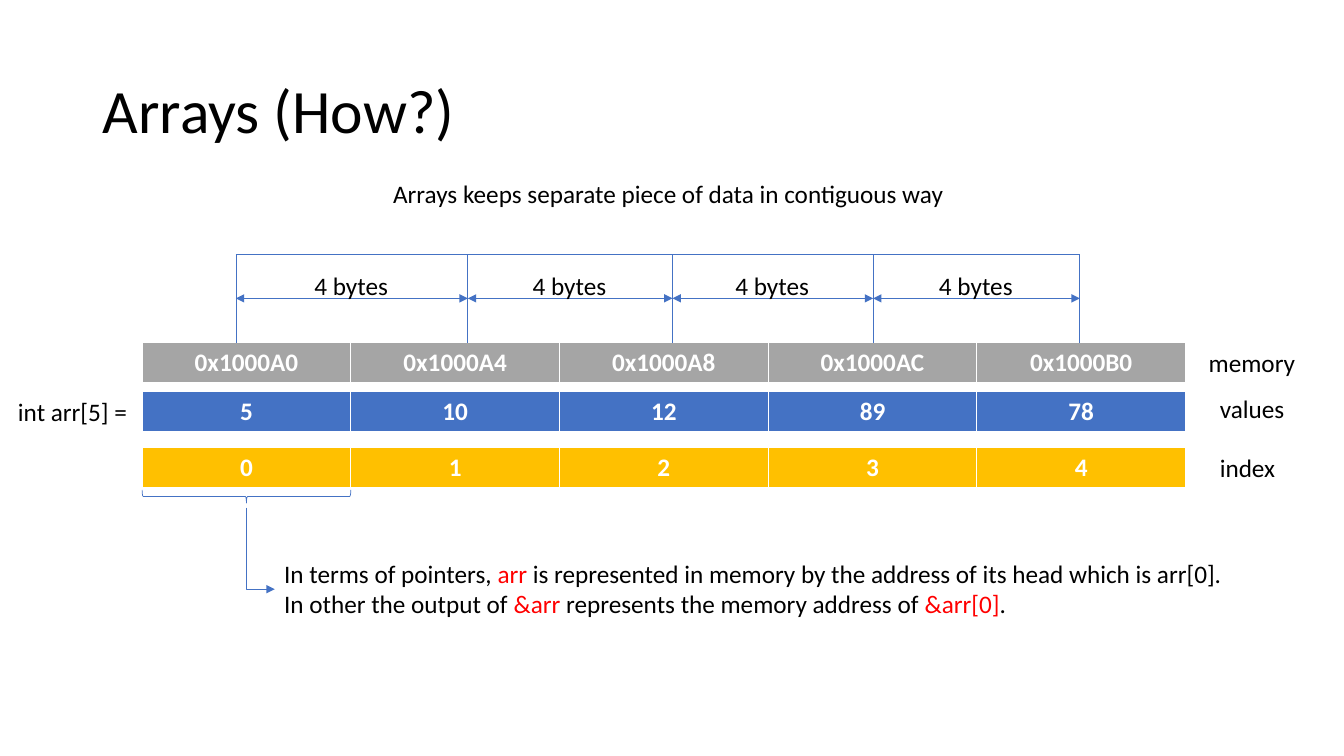
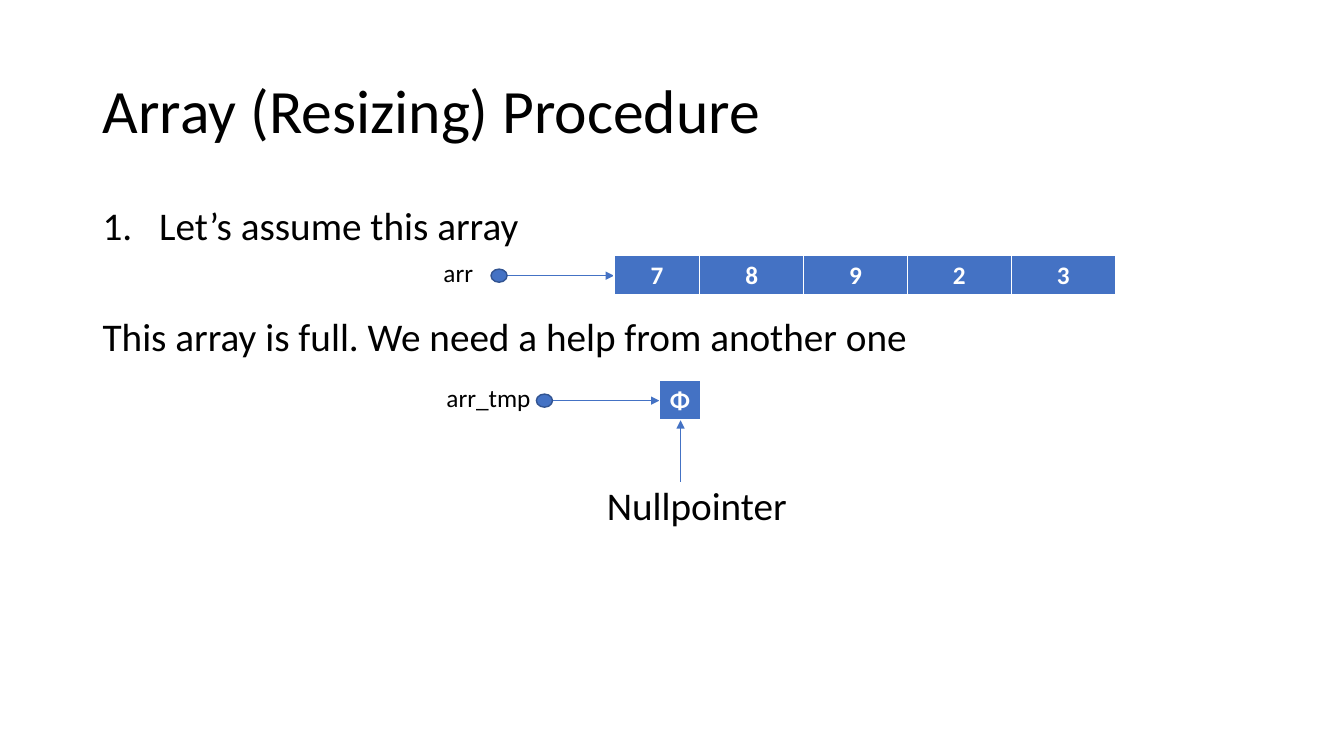
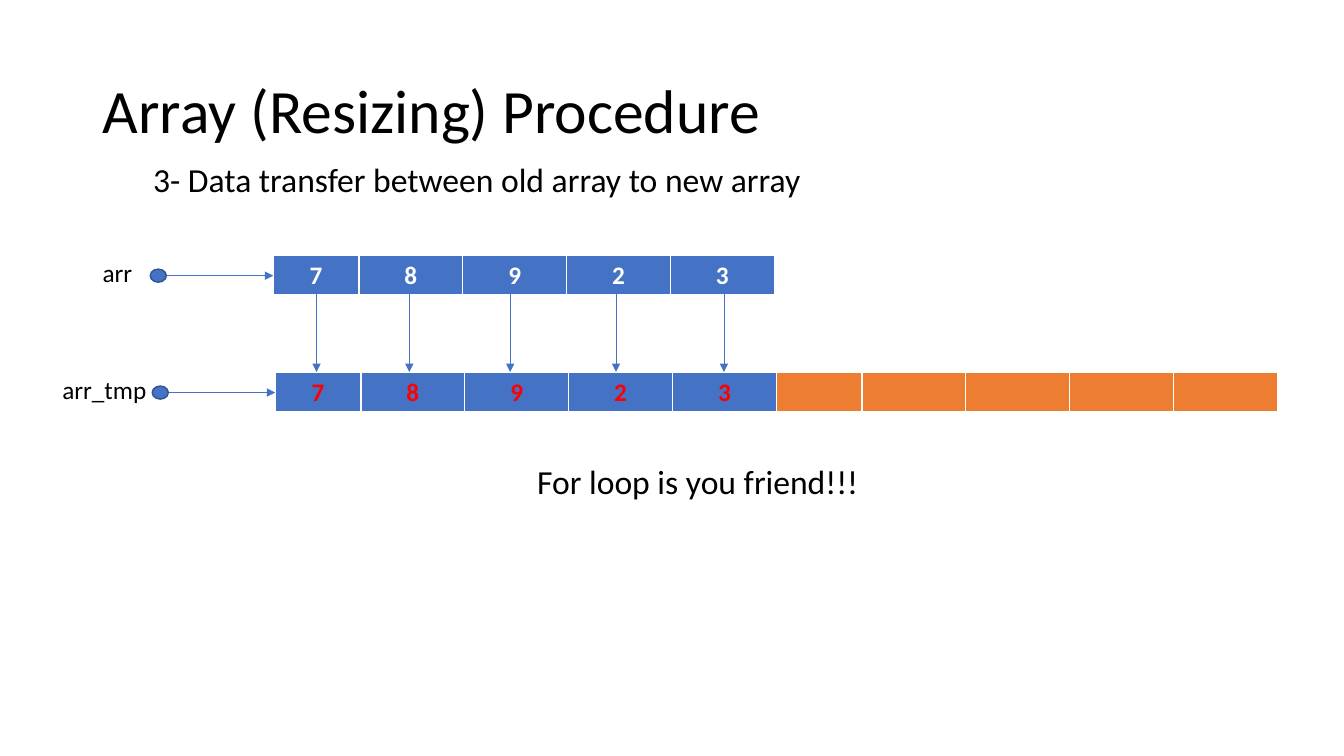
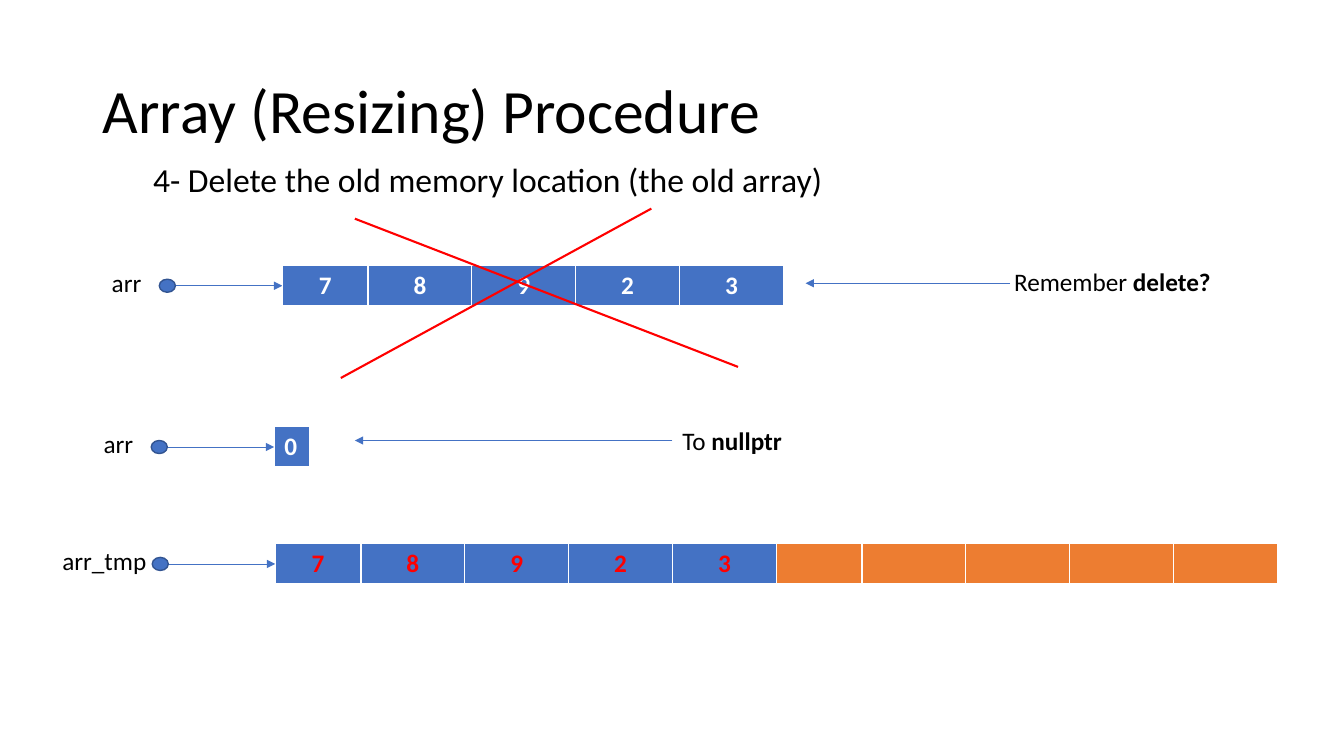
import itertools

import lxml.etree
import pptx
import pptx.dml.color
import pptx.enum.shapes
import pptx.enum.text
import pptx.oxml.ns
import pptx.util

HUES = {
    "ink": "000000", "white": "FFFFFF", "blue": "4472C4", "navy": "325491",
    "gold": "FFC000", "gray": "A5A5A5", "orange": "ED7D31", "red": "FF0000",
}
FONT = "Calibri"
WIDE, HIGH = 13.33, 7.5
LEFT, SPAN = 0.92, 11.5
ROW = 0.41
COLS = [0.85, 1.03, 1.03, 1.03, 1.03]
DATA = ["7", "8", "9", "2", "3"]
RED = {"hue": "red"}
BOLD = {"bold": True}

inch = pptx.util.Inches
qn = pptx.oxml.ns.qn
ALIGN = pptx.enum.text.PP_ALIGN
SHAPE = pptx.enum.shapes.MSO_SHAPE
LINK = pptx.enum.shapes.MSO_CONNECTOR


def rgb(hue):
    return pptx.dml.color.RGBColor.from_string(HUES[hue])


def add(node, tag, **attrs):
    return lxml.etree.SubElement(node, qn(tag), **attrs)


def write(frame, *lines, size=18, hue="ink", bold=False, align=ALIGN.LEFT, lead=None):
    """Fill a frame; a line is a string or a list of strings and (string, format) pairs."""
    for i, line in enumerate(lines):
        para = frame.add_paragraph() if i else frame.paragraphs[0]
        para.alignment = align
        para.line_spacing = lead
        for part in [line] if isinstance(line, str) else line:
            words, extra = (part, {}) if isinstance(part, str) else part
            look = {"hue": hue, "bold": bold, **extra}
            run = para.add_run()
            run.text = words
            run.font.name = FONT
            run.font.size = pptx.util.Pt(size)
            run.font.bold = look["bold"]
            run.font.color.rgb = rgb(look["hue"])


def label(slide, box, *lines, wrap=False, **look):
    note = slide.shapes.add_textbox(*map(inch, box))
    note.text_frame.word_wrap = wrap
    write(note.text_frame, *lines, **look)
    return note


def body(slide, top, words, left=LEFT, size=28, **look):
    box = (left, top, LEFT + SPAN - left, 0.55)
    return label(slide, box, words, wrap=True, size=size, lead=0.9, **look)


def link(slide, start, end, hue="blue", width=0.5, head=False, tail=False,
         kind=LINK.STRAIGHT):
    wire = slide.shapes.add_connector(kind, *map(inch, (*start, *end)))
    wire.line.color.rgb = rgb(hue)
    wire.line.width = pptx.util.Pt(width)
    props = wire._element.spPr
    for tag, shown in (("a:headEnd", head), ("a:tailEnd", tail)):
        if shown:
            add(props.find(qn("a:ln")), tag, type="triangle")
    add(props, "a:effectLst")
    return wire


def shape(slide, kind, box, fill=None, line="blue", width=0.5):
    form = slide.shapes.add_shape(kind, *map(inch, box))
    form.shadow.inherit = False
    if fill:
        form.fill.solid()
        form.fill.fore_color.rgb = rgb(fill)
    else:
        form.fill.background()
    form.line.color.rgb = rgb(line)
    form.line.width = pptx.util.Pt(width)
    return form


def edge(cell):
    props = cell._tc.get_or_add_tcPr()
    for side, width in zip("LRTB", (1, 1, 1, 3)):
        line = add(props, "a:ln" + side, w=str(pptx.util.Pt(width)))
        add(add(line, "a:solidFill"), "a:srgbClr", val=HUES["white"])


def cells(slide, x, y, words, cols=COLS, fill="blue", hue="white", align=ALIGN.CENTER):
    """Draw a one-row table with its corner at x, y."""
    box = map(inch, (x, y, sum(cols), ROW))
    grid = slide.shapes.add_table(1, len(cols), *box).table
    grid.first_row = grid.horz_banding = False
    for i, (word, col) in enumerate(zip(words, cols)):
        grid.columns[i].width = inch(col)
        cell = grid.cell(0, i)
        edge(cell)
        cell.fill.solid()
        cell.fill.fore_color.rgb = rgb(fill)
        if word:
            write(cell.text_frame, word, hue=hue, bold=True, align=align)


def array(slide, name, x, y, words, **look):
    """Draw a named pointer whose arrow tip meets the cells at x, y."""
    mid = y + ROW / 2
    back, wide = (2.21, 1.04) if name == "arr_tmp" else (1.79, 0.5)
    link(slide, (x - 1.06, mid), (x, mid), tail=True)
    shape(slide, SHAPE.OVAL, (x - 1.22, mid - 0.065, 0.16, 0.13), "blue", "navy", 1)
    label(slide, (x - back, y - 0.03, wide, 0.4), name)
    cells(slide, x, y, words, **look)


def grown(slide, x, y):
    array(slide, "arr_tmp", x, y, DATA, hue="red")
    cells(slide, x + sum(COLS), y, [""] * len(COLS), fill="orange")


def page(deck, title):
    slide = deck.slides.add_slide(deck.slide_layouts[5])
    head = slide.shapes.title
    head.left, head.top, head.width, head.height = map(inch, (LEFT, 0.4, SPAN, 1.45))
    head.text_frame.vertical_anchor = pptx.enum.text.MSO_ANCHOR.MIDDLE
    write(head.text_frame, title, size=44, lead=0.9)
    return slide


def ruler(slide, marks, top, base):
    """Mark the bytes between neighbouring cells."""
    mid = (top + base) / 2
    for x in marks:
        link(slide, (x, base), (x, top))
    link(slide, (marks[0], top), (marks[-1], top))
    for a, b in itertools.pairwise(marks):
        link(slide, (a, mid), (b, mid), head=True, tail=True)
        label(slide, ((a + b) / 2 - 0.47, mid - 0.33, 0.94, 0.4), "4 bytes")


def layout(deck):
    slide = page(deck, "Arrays (How?)")
    label(slide, (3.8, 1.72, 5.72, 0.4),
          "Arrays keeps separate piece of data in contiguous way")
    col = 2.07
    rows = [
        (3.4, "gray", ["0x1000A0", "0x1000A4", "0x1000A8", "0x1000AC", "0x1000B0"]),
        (3.88, "blue", ["5", "10", "12", "89", "78"]),
        (4.44, "gold", ["0", "1", "2", "3", "4"]),
    ]
    for y, fill, words in rows:
        cells(slide, 1.41, y, words, cols=[col] * 5, fill=fill)
    for x, y, wide, word in ((11.89, 3.4, 1.07, "memory"), (12, 3.85, 0.85, "values"),
                             (12, 4.44, 0.76, "index"), (0.08, 3.88, 1.35, "int arr[5] =")):
        label(slide, (x, y, wide, 0.4), word)
    ruler(slide, [2.34, 4.64, 6.67, 8.66, 10.71], 2.52, 3.4)
    brace = shape(slide, SHAPE.LEFT_BRACE, (2.38, 3.89, 0.13, col))
    brace.rotation = 270
    bend = link(slide, (2.99, 5.3), (2.18, 5.58), tail=True, kind=LINK.ELBOW)
    props = bend._element.spPr
    props.find(qn("a:xfrm")).set("rot", str(270 * 60000))
    props.find(qn("a:prstGeom")).set("prst", "bentConnector2")
    label(slide, (2.72, 5.49, 9.67, 0.71),
          ["In terms of pointers, ", ("arr ", RED),
           "is represented in memory by the address of its head which is arr[0]."],
          ["In other the output of ", ("&arr ", RED),
           "represents the memory address of ", ("&arr[0]", RED), "."])


def assume(deck, title):
    slide = page(deck, title)
    first = body(slide, 2, "Let’s assume this array")
    props = first.text_frame.paragraphs[0]._p.get_or_add_pPr()
    props.set("marL", str(inch(0.56)))
    props.set("indent", str(inch(-0.56)))
    add(props, "a:buFont", typeface="+mj-lt")
    add(props, "a:buAutoNum", type="arabicPeriod")
    body(slide, 3.1, "This array is full. We need a help from another one")
    body(slide, 4.78, "Nullpointer", left=5.92)
    array(slide, "arr", 6.09, 2.53, DATA)
    array(slide, "arr_tmp", 6.54, 3.77, ["Φ"], cols=[ROW])
    link(slide, (6.75, 4.78), (6.75, 4.17), tail=True)


def step(deck, title, words):
    slide = page(deck, title)
    body(slide, 1.57, words, left=LEFT + 0.5, size=24)
    return slide


def transfer(deck, title):
    slide = step(deck, title, "3- Data transfer between old array to new array")
    body(slide, 4.57, "For loop is you friend!!!", left=LEFT + 0.5, size=24,
         align=ALIGN.CENTER)
    array(slide, "arr", 2.71, 2.53, DATA)
    grown(slide, 2.73, 3.69)
    for x in (3.14, 4.06, 5.06, 6.11, 7.18):
        link(slide, (x, 2.9), (x, 3.69), tail=True)


def delete(deck, title):
    slide = step(deck, title, "4- Delete the old memory location (the old array)")
    array(slide, "arr", 2.72, 4.23, ["0"], cols=[0.35], align=ALIGN.LEFT)
    grown(slide, 2.73, 5.39)
    array(slide, "arr", 2.8, 2.63, DATA)
    link(slide, (10.02, 2.81), (7.99, 2.81), tail=True)
    label(slide, (9.96, 2.59, 2.17, 0.4), ["Remember ", ("delete?", BOLD)])
    for start, end in (((3.52, 2.17), (7.32, 3.64)), ((6.46, 2.07), (3.38, 3.75))):
        link(slide, start, end, hue="red", width=1.5)
    null = label(slide, (6.67, 4.17, 1.2, 0.4), ["To ", ("nullptr", BOLD)])
    link(slide, (6.67, 4.37), (3.52, 4.37), tail=True).begin_connect(null, 1)


def main():
    deck = pptx.Presentation()
    deck.slide_width, deck.slide_height = inch(WIDE), inch(HIGH)
    layout(deck)
    for build in (assume, transfer, delete):
        build(deck, "Array (Resizing) Procedure")
    deck.save("out.pptx")


if __name__ == "__main__":
    main()
